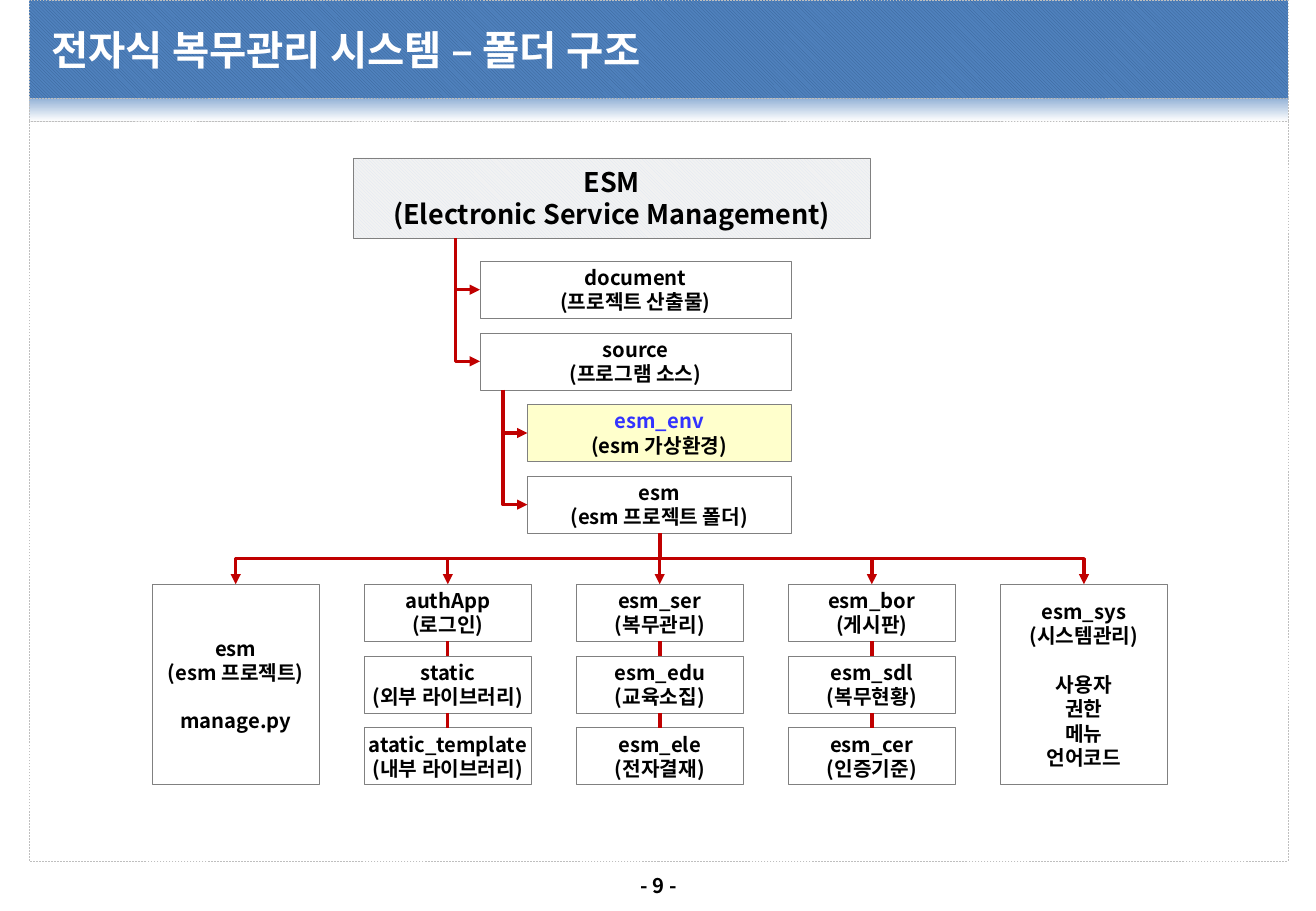
from lxml.etree import SubElement
from pptx import Presentation
from pptx.dml.color import RGBColor
from pptx.enum.dml import MSO_LINE, MSO_PATTERN
from pptx.enum.shapes import MSO_CONNECTOR, MSO_SHAPE
from pptx.enum.text import MSO_ANCHOR, PP_ALIGN
from pptx.oxml.ns import qn
from pptx.util import Inches, Pt

FONT = "Noto Sans CJK KR"
hex_color = RGBColor.from_string

presentation = Presentation()
presentation.slide_width, presentation.slide_height = Inches(10.83), Inches(7.5)
slide = presentation.slides.add_slide(presentation.slide_layouts[6])


def add_box(left, top, width, height, lines=(), size=12, color="000000", fill="FFFFFF",
            border="808080", align=PP_ALIGN.CENTER):
    """Rectangle with bold lines; an empty line becomes space before the next one."""
    box = slide.shapes.add_shape(MSO_SHAPE.RECTANGLE, *map(Inches, (left, top, width, height)))
    box.shadow.inherit = False
    if fill:
        box.fill.solid()
        box.fill.fore_color.rgb = hex_color(fill)
    else:
        box.fill.background()
    if border:
        box.line.color.rgb = hex_color(border)
        box.line.width = Pt(0.25)
    else:
        box.line.fill.background()
    frame = box.text_frame
    frame.word_wrap = False
    frame.vertical_anchor = MSO_ANCHOR.MIDDLE
    frame.margin_left = frame.margin_right = Inches(0.04)
    frame.margin_top = frame.margin_bottom = Inches(0.04)
    frame.text = "\n".join(line for line in lines if line)
    shown = [i for i, line in enumerate(lines) if line]
    for i, paragraph in zip(shown, frame.paragraphs):
        paragraph.alignment = align
        paragraph.line_spacing = Pt(size * 1.2)
        if i and not lines[i - 1]:
            paragraph.space_before = Pt(size * 1.2)
        for run in paragraph.runs:
            run.font.size, run.font.bold, run.font.name = Pt(size), True, FONT
            run.font.color.rgb = hex_color(color)
            SubElement(run.font._element, qn("a:ea"), typeface=FONT)
    return box


def add_link(x1, y1, x2, y2, preset="line"):
    """Red link; bent presets leave downwards, so their frame is turned a quarter."""
    kind = MSO_CONNECTOR.STRAIGHT
    if preset != "line":
        kind = MSO_CONNECTOR.ELBOW
        side = 1 if x2 >= x1 else -1
        mid_x, mid_y = (x1 + x2) / 2, (y1 + y2) / 2
        half_w, half_h = side * (y2 - y1) / 2, abs(x2 - x1) / 2
        x1, y1, x2, y2 = mid_x + half_w, mid_y - half_h, mid_x - half_w, mid_y + half_h
    link = slide.shapes.add_connector(kind, *map(Inches, (x1, y1, x2, y2)))
    link.line.color.rgb = hex_color("C00000")
    link.line.width = Pt(2)
    properties = link._element.spPr
    if preset != "line":
        properties.find(qn("a:prstGeom")).set("prst", preset)
        properties.find(qn("a:xfrm")).set("rot", str((270 if side > 0 else 90) * 60000))
        SubElement(properties.find(qn("a:ln")), qn("a:tailEnd"), type="triangle")
    SubElement(properties, qn("a:effectLst"))


# Page frame: title band, fading strip, body, page number
PAGE_LEFT, PAGE_WIDTH, BAND_HEIGHT = 0.24, 10.36, 0.81
strip = add_box(PAGE_LEFT, BAND_HEIGHT, PAGE_WIDTH, 0.19, border="BFBFBF")
strip.fill.gradient()
strip.fill.gradient_angle = 270
for stop, color in zip(strip.fill.gradient_stops, ("95B3D7", "FFFFFF")):
    stop.color.rgb = hex_color(color)
    stop.position = 0 if color == "95B3D7" else 1
body = add_box(PAGE_LEFT, 1, PAGE_WIDTH, 6.09, border="BFBFBF")
band = add_box(PAGE_LEFT, 0, PAGE_WIDTH, BAND_HEIGHT, border="BFBFBF")
for part in (strip, body, band):
    part.line.dash_style = MSO_LINE.DASH
add_box(5.08, 7.14, 0.68, 0.3, ["- 9 -"], fill=None, border=None)
add_box(0.38, 0.08, 10.09, 0.66, ["전자식 복무관리 시스템 – 폴더 구조"], size=24,
        color="FFFFFF", fill=None, border=None, align=PP_ALIGN.LEFT)

# Root folder
root = add_box(2.91, 1.3, 4.25, 0.66, ["ESM", "(Electronic Service Management)"], size=16)
for part, front, back in ((band, "376092", "4F81BD"), (root, "DCE6F2", "F2F2F2")):
    part.fill.patterned()
    part.fill.pattern = MSO_PATTERN.LIGHT_DOWNWARD_DIAGONAL
    part.fill.fore_color.rgb = hex_color(front)
    part.fill.back_color.rgb = hex_color(back)

# Folder tree: each row hangs from a trunk 0.2 left of it
BOX_HEIGHT, ROW_PITCH, TREE_TOP, TREE_RIGHT = 0.47, 0.59, 2.15, 6.51
ROOT_BOTTOM = 1.96
SOURCE_BOTTOM = TREE_TOP + ROW_PITCH + BOX_HEIGHT
folders = [
    (3.95, ROOT_BOTTOM, "document", "(프로젝트 산출물)"),
    (3.95, ROOT_BOTTOM, "source", "(프로그램 소스)"),
    (4.34, SOURCE_BOTTOM, "esm_env", "(esm 가상환경)"),
    (4.34, SOURCE_BOTTOM, "esm", "(esm 프로젝트 폴더)"),
]
for row, (left, trunk_top, name, note) in enumerate(folders):
    top = TREE_TOP + row * ROW_PITCH
    folder = add_box(left, top, TREE_RIGHT - left, BOX_HEIGHT, [name, note],
                     fill="FFFFCC" if name == "esm_env" else "FFFFFF")
    if name == "esm_env":
        folder.text_frame.paragraphs[0].runs[0].font.color.rgb = hex_color("3333FF")
    add_link(left - 0.2, trunk_top, left, top + BOX_HEIGHT / 2, "bentConnector2")

# Apps: five columns, either one tall box or three stacked ones
APP_TOP, APP_LEFT, APP_WIDTH, APP_PITCH = 4.81, 1.25, 1.38, (8.23 - 1.25) / 4
PROJECT_X, PROJECT_BOTTOM = 5.43, top + BOX_HEIGHT
app_columns = [
    [["esm", "(esm 프로젝트)", "", "manage.py"]],
    [["authApp", "(로그인)"], ["static", "(외부 라이브러리)"],
     ["atatic_template", "(내부 라이브러리)"]],
    [["esm_ser", "(복무관리)"], ["esm_edu", "(교육소집)"], ["esm_ele", "(전자결재)"]],
    [["esm_bor", "(게시판)"], ["esm_sdl", "(복무현황)"], ["esm_cer", "(인증기준)"]],
    [["esm_sys", "(시스템관리)", "", "사용자", "권한", "메뉴", "언어코드"]],
]
for column, apps in enumerate(app_columns):
    left = APP_LEFT + column * APP_PITCH
    center = PROJECT_X + (column - 2) * APP_PITCH
    height = BOX_HEIGHT if len(apps) > 1 else 2 * ROW_PITCH + BOX_HEIGHT
    add_link(PROJECT_X, PROJECT_BOTTOM, center, APP_TOP, "bentConnector3")
    for row, lines in enumerate(apps):
        top = APP_TOP + row * ROW_PITCH
        add_box(left, top, APP_WIDTH, height, lines)
        if row:
            add_link(center, top - ROW_PITCH + BOX_HEIGHT, center, top)

presentation.save("out.pptx")
